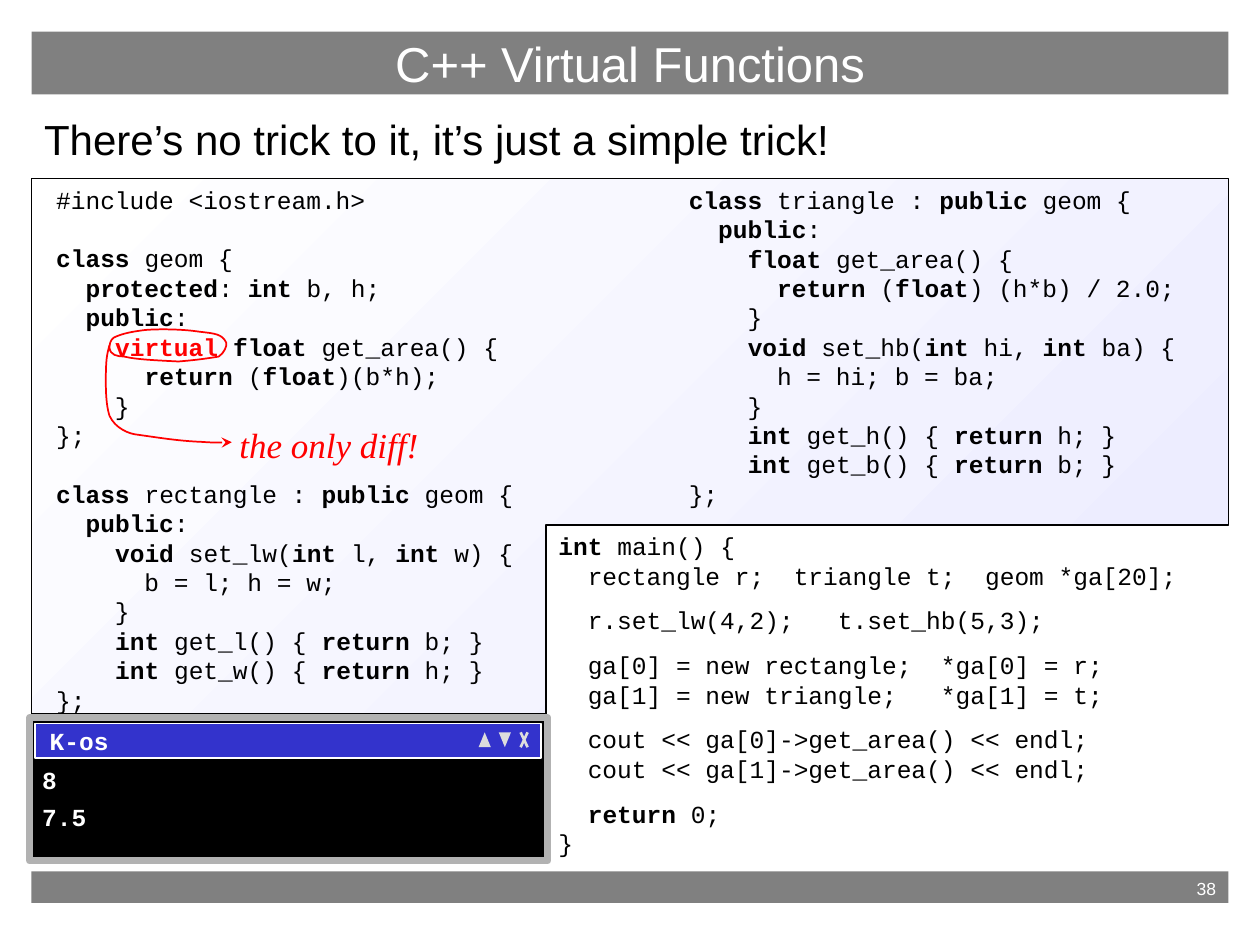
from itertools import groupby

from lxml import etree
from pptx import Presentation
from pptx import util as u
from pptx.dml.color import RGBColor
from pptx.enum import shapes, text
from pptx.oxml import ns

Pt = u.Pt
COLORS = {
    "bar": "808080", "white": "FFFFFF", "black": "000000", "red": "FF0000",
    "lavender": "EBEBFF", "frame": "B2B2B2", "caption": "3333CC", "button": "DDDDDD",
}
KEYWORDS = {"class", "protected", "public", "virtual", "int", "float", "void", "return"}
RIGHT, CENTER = text.PP_ALIGN.RIGHT, text.PP_ALIGN.CENTER
TOP, MIDDLE = text.MSO_ANCHOR.TOP, text.MSO_ANCHOR.MIDDLE

GEOM_AND_RECTANGLE = """#include <iostream.h>

class geom {
  protected: int b, h;
  public:
    virtual float get_area() {
      return (float)(b*h);
    }
};

class rectangle : public geom {
  public:
    void set_lw(int l, int w) {
      b = l; h = w;
    }
    int get_l() { return b; }
    int get_w() { return h; }
};"""

TRIANGLE = """class triangle : public geom {
  public:
    float get_area() {
      return (float) (h*b) / 2.0;
    }
    void set_hb(int hi, int ba) {
      h = hi; b = ba;
    }
    int get_h() { return h; }
    int get_b() { return b; }
};"""

MAIN = """int main() {
  rectangle r;  triangle t;  geom *ga[20];

  r.set_lw(4,2);   t.set_hb(5,3);

  ga[0] = new rectangle;  *ga[0] = r;
  ga[1] = new triangle;   *ga[1] = t;

  cout << ga[0]->get_area() << endl;
  cout << ga[1]->get_area() << endl;

  return 0;
}"""


def token_style(token):
    """Return (bold, color) of a code token."""
    return token in KEYWORDS, "red" if token == "virtual" else "black"


class SlideBuilder:
    sans, mono, serif = "Arial", "Courier New", "Times New Roman"
    code_size, code_leading = 14, 16.8

    def __init__(self, slide):
        self.slide = slide
        self.shapes = slide.shapes

    def start_group(self):
        self.shapes = self.slide.shapes.add_group_shape().shapes

    def end_group(self):
        self.shapes = self.slide.shapes

    def color(self, name):
        return RGBColor.from_string(COLORS[name])

    def paint(self, shape, fill=None, line=None, width=1):
        shape.shadow.inherit = False
        if fill:
            shape.fill.solid()
            shape.fill.fore_color.rgb = self.color(fill)
        else:
            shape.fill.background()
        self.outline(shape, line, width)

    def outline(self, shape, line, width):
        if line:
            shape.line.color.rgb = self.color(line)
            shape.line.width = Pt(width)
        else:
            shape.line.fill.background()

    def frame(self, shape, anchor=TOP, insets=(7.2, 3.6), wrap=True):
        frame = shape.text_frame
        frame.auto_size = text.MSO_AUTO_SIZE.NONE
        frame.word_wrap = wrap
        frame.vertical_anchor = anchor
        frame.margin_left = frame.margin_right = Pt(insets[0])
        frame.margin_top = frame.margin_bottom = Pt(insets[1])
        return frame

    def font(self, run, name, size, color, bold=False, italic=False):
        run.font.name, run.font.size = name, Pt(size)
        run.font.color.rgb = self.color(color)
        run.font.bold, run.font.italic = bold, italic

    def set_text(self, shape, words, name, size, color, align=text.PP_ALIGN.LEFT,
                 anchor=TOP, insets=(7.2, 3.6), before=0, **style):
        frame = self.frame(shape, anchor, insets)
        frame.text = words
        for index, paragraph in enumerate(frame.paragraphs):
            paragraph.alignment = align
            paragraph.space_before = Pt(before if index else 0)
            for run in paragraph.runs:
                self.font(run, name, size, color, **style)

    def placeholder(self, index, box):
        shape = self.slide.placeholders[index]
        shape.left, shape.top, shape.width, shape.height = map(Pt, box)
        return shape

    def box(self, box, fill, line=None, width=1, kind=shapes.MSO_SHAPE.RECTANGLE):
        shape = self.shapes.add_shape(kind, *map(Pt, box))
        self.paint(shape, fill, line, width)
        return shape

    def label(self, box):
        return self.shapes.add_textbox(*map(Pt, box))

    def code(self, box, source, gap):
        """Set code with bold keywords; an empty line becomes a gap."""
        frame = self.frame(self.label(box))
        paragraph, before = frame.paragraphs[0], 0
        for number, line in enumerate(source.split("\n")):
            if not line:
                before = gap
                continue
            if number:
                paragraph = frame.add_paragraph()
            paragraph.space_before, before = Pt(before), 0
            paragraph.line_spacing = Pt(self.code_leading)
            words = ["".join(part) for _, part in groupby(line, str.isalnum)]
            for (bold, color), part in groupby(words, token_style):
                run = paragraph.add_run()
                run.text = "".join(part)
                self.font(run, self.mono, self.code_size, color, bold)

    def polygon(self, points, close=True):
        start, *rest = [tuple(map(Pt, point)) for point in points]
        builder = self.shapes.build_freeform(*start)
        builder.add_line_segments(rest, close=close)
        return builder.convert_to_shape()

    def curve(self, points, color, arrow=False):
        """Draw Bezier segments: a start, then two handles and an end for each."""
        shape = self.polygon(points, close=False)
        self.paint(shape, line=color)
        outline = shape._element.xpath(".//a:path")[0]
        corners = iter(outline.findall(ns.qn("a:lnTo")))
        for trio in zip(corners, corners, corners):
            bezier = etree.SubElement(outline, ns.qn("a:cubicBezTo"))
            for corner in trio:
                bezier.append(corner[0])
                outline.remove(corner)
        if arrow:
            stroke = shape._element.spPr.find(ns.qn("a:ln"))
            etree.SubElement(stroke, ns.qn("a:tailEnd"), type="stealth")

    def line(self, start, end, color, width):
        connector = self.shapes.add_connector(
            shapes.MSO_CONNECTOR.STRAIGHT, *map(Pt, start + end))
        self.outline(connector, color, width)
        etree.SubElement(connector._element.spPr, ns.qn("a:effectLst"))


def main():
    presentation = Presentation()
    presentation.slide_width, presentation.slide_height = Pt(720), Pt(540)
    builder = SlideBuilder(presentation.slides.add_slide(presentation.slide_layouts[1]))

    # Footer bar, title and lead sentence
    footer = builder.box((18, 498, 684, 18), "bar")
    builder.set_text(footer, "38", builder.sans, 10, "white", RIGHT)
    title = builder.placeholder(0, (18, 18, 684, 36))
    title.fill.solid()
    title.fill.fore_color.rgb = builder.color("bar")
    builder.set_text(title, "C++ Virtual Functions", builder.sans, 28, "white", CENTER, MIDDLE)
    body = builder.placeholder(1, (18, 60, 684, 420))
    builder.set_text(body, "There’s no trick to it, it’s just a simple trick!",
                     builder.sans, 24, "black", insets=(7.2, 5))
    properties = body.text_frame.paragraphs[0]._p.get_or_add_pPr()
    properties.set("marL", "0")
    properties.set("indent", "0")
    etree.SubElement(properties, ns.qn("a:buNone"))

    # L-shaped panel behind the class definitions
    panel = builder.polygon([(18, 102), (18, 408), (312, 408), (312, 300), (702, 300), (702, 102)])
    builder.paint(panel, line="black", width=0.75)
    panel.fill.gradient()
    panel.fill.gradient_angle = 135
    for stop, name in zip(panel.fill.gradient_stops, ("lavender", "white")):
        stop.color.rgb = builder.color(name)

    # Code listings
    builder.code((25, 102, 284, 310), GEOM_AND_RECTANGLE, builder.code_leading)
    builder.code((386.5, 102, 300, 209), TRIANGLE, 0)
    builder.code((312, 300, 390, 192), MAIN, 8.8)

    # Console window
    builder.start_group()
    console = builder.box((17, 410, 296, 82), "black", "frame", 4)
    builder.set_text(console, "8\n7.5", builder.mono, 14, "white", insets=(7.2, 27),
                     before=4.5, bold=True)
    caption = builder.box((20, 413.5, 289, 19.5), "caption", "white")
    builder.set_text(caption, "K-os", builder.mono, 14, "white", anchor=MIDDLE,
                     insets=(8.4, 0), bold=True)
    for left, flipped in ((273.5, False), (285, True)):
        button = builder.box((left, 418.5, 7, 8.5), "button",
                             kind=shapes.MSO_SHAPE.FLOWCHART_EXTRACT)
        if flipped:
            button._element.spPr.xfrm.set("flipV", "1")
    for top, bottom in ((418.5, 427), (427, 418.5)):
        builder.line((297.5, top), (301.5, bottom), "button", 1.5)
    builder.end_group()

    # Hand-drawn ring around "virtual", with an arrow to the remark
    builder.curve([(62.6, 198.7), (63, 203), (67, 203.7), (71, 203.8),
                   (78, 205.5), (90, 206), (102, 206.6), (110, 206), (118, 205), (125, 203.8),
                   (128, 202), (130, 197.5), (129.3, 195.8),
                   (127, 191), (123, 190.6), (114, 189.6), (104, 188), (90, 188), (83, 188.6),
                   (76, 189.5), (70, 190.5), (65, 193), (63, 194.5), (62.6, 197), (62.6, 198.7)],
                  "red")
    builder.curve([(62.6, 197.3), (61, 203), (60.5, 206), (60.5, 218),
                   (60.5, 229), (61.5, 234), (62.6, 237.6), (66, 245), (74, 248), (78.5, 248.4),
                   (90, 250), (102, 252), (115, 252.5), (122, 253), (128, 253), (132.5, 252.7)],
                  "red", arrow=True)
    builder.set_text(builder.label((129.5, 238, 117, 32)), "the only diff!", builder.serif, 20,
                     "red", CENTER, MIDDLE, italic=True)

    presentation.save("out.pptx")


if __name__ == "__main__":
    main()
